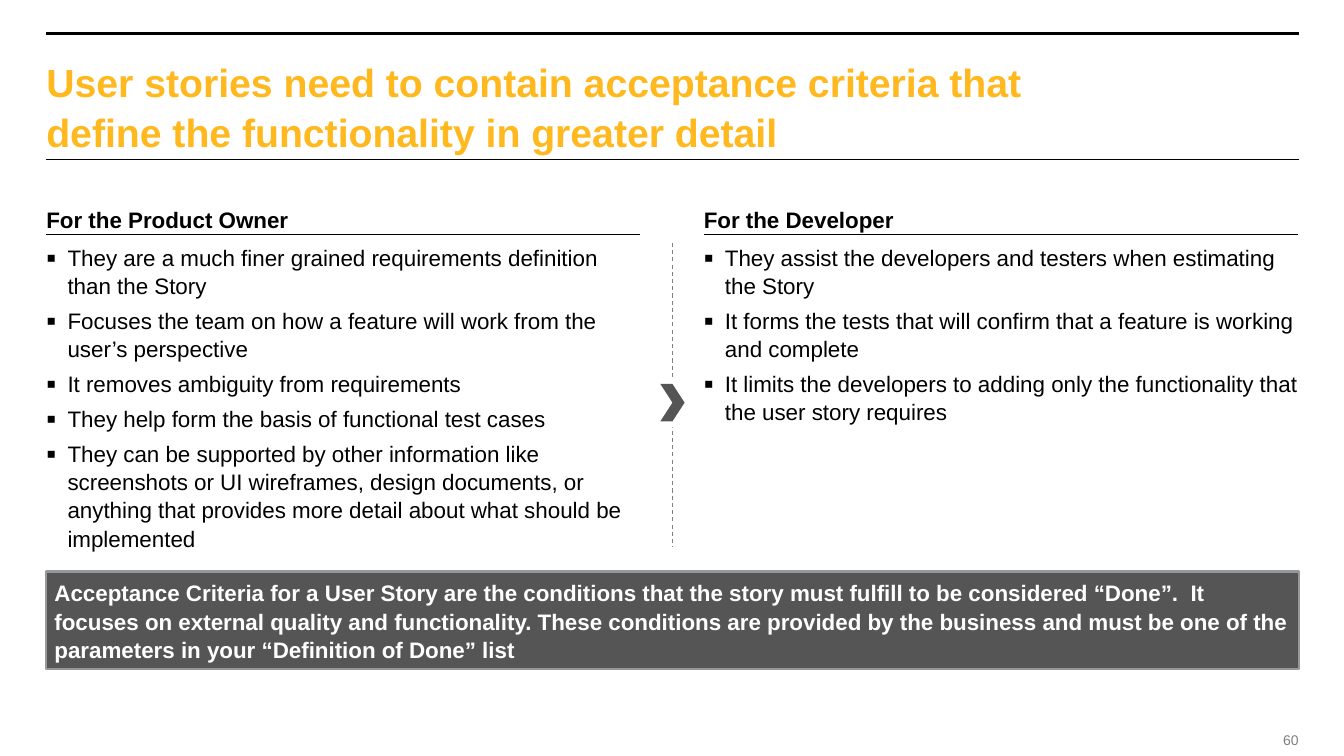
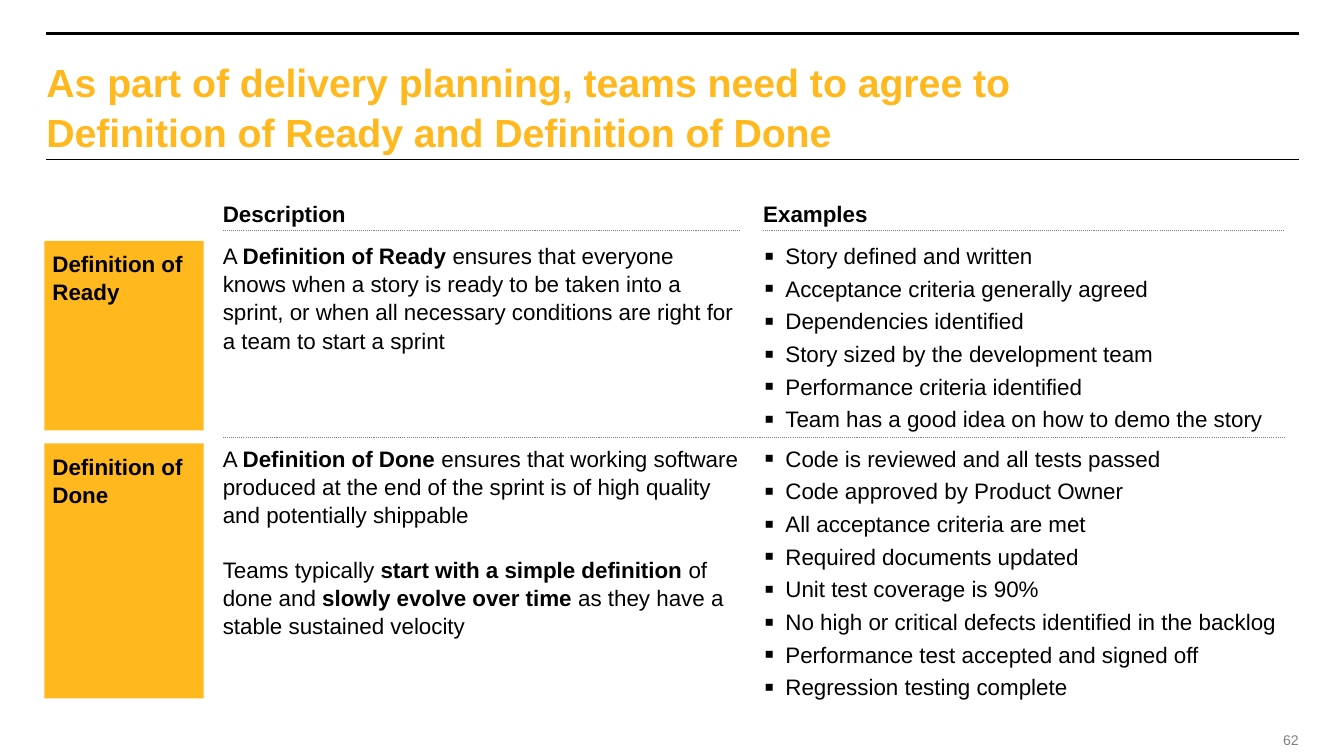
from lxml import etree
from pptx import Presentation
from pptx.dml.color import RGBColor
from pptx.enum.dml import MSO_LINE
from pptx.enum.shapes import MSO_CONNECTOR, MSO_SHAPE
from pptx.enum.text import MSO_ANCHOR, PP_ALIGN
from pptx.oxml.ns import qn
from pptx.util import Inches, Pt

COLORS = {
    "accent": "FFB81E",
    "text": "000000",
    "dark": "555555",
    "dark_border": "95999C",
    "rule": "808080",
    "number": "7F7F7F",
    "white": "FFFFFF",
}
FONT = "Arial"
BODY_SIZE = 16
LINE_SPACING = 1.05
LEFT, RIGHT = 0.46, 12.88
WIDTH = RIGHT - LEFT


def color(name):
    return RGBColor.from_string(COLORS[name])


def add_bullet(paragraph, indent=0.21):
    properties = paragraph._p.get_or_add_pPr()
    properties.set("marL", str(Inches(indent)))
    properties.set("indent", str(-Inches(0.21)))
    bullet_color = etree.SubElement(properties, qn("a:buClr"))
    etree.SubElement(bullet_color, qn("a:srgbClr"), val=COLORS["text"])
    etree.SubElement(properties, qn("a:buSzPct"), val="125000")
    etree.SubElement(properties, qn("a:buFont"), typeface=FONT)
    etree.SubElement(properties, qn("a:buChar"), char="▪")


def fill_text(shape, paragraphs, size=BODY_SIZE, ink="text", bold=False,
              anchor=MSO_ANCHOR.TOP, align=PP_ALIGN.LEFT, inset=0.0,
              gap=0.0, bullet_indent=None):
    """Write paragraphs; parts between ** marks turn bold, gap is in points."""
    frame = shape.text_frame
    frame.word_wrap = True
    frame.vertical_anchor = anchor
    frame.margin_left = frame.margin_right = Inches(inset)
    frame.margin_top = frame.margin_bottom = Inches(inset)
    for index, content in enumerate(paragraphs):
        paragraph = frame.paragraphs[0] if index == 0 else frame.add_paragraph()
        if bullet_indent is not None:
            add_bullet(paragraph, bullet_indent)
        paragraph.alignment = align
        paragraph.line_spacing = LINE_SPACING
        paragraph.space_before = Pt(gap if index else 0)
        for part, words in enumerate(content.split("**")):
            run = paragraph.add_run()
            run.text = words
            run.font.name = FONT
            run.font.size = Pt(size)
            run.font.bold = bold or part % 2 == 1
            run.font.color.rgb = color(ink)


def add_text(slide, left, top, width, height, paragraphs, **style):
    box = slide.shapes.add_textbox(
        Inches(left), Inches(top), Inches(width), Inches(height))
    fill_text(box, paragraphs, **style)


def add_block(slide, preset, left, top, width, height, fill):
    block = slide.shapes.add_shape(
        preset, Inches(left), Inches(top), Inches(width), Inches(height))
    block.shadow.inherit = False
    block.fill.solid()
    block.fill.fore_color.rgb = color(fill)
    block.line.fill.background()
    return block


def add_rule(slide, x1, y1, x2, y2, ink="text", weight=0.75, dash=None):
    rule = slide.shapes.add_connector(
        MSO_CONNECTOR.STRAIGHT, Inches(x1), Inches(y1), Inches(x2), Inches(y2))
    rule.line.color.rgb = color(ink)
    rule.line.width = Pt(weight)
    if dash is not None:
        rule.line.dash_style = dash
    etree.SubElement(rule._element.spPr, qn("a:effectLst"))


def add_titled_slide(deck, title, number):
    slide = deck.slides.add_slide(deck.slide_layouts[5])
    heading = slide.shapes.title
    heading.left, heading.top = Inches(LEFT), Inches(0.56)
    heading.width, heading.height = Inches(10.81), Inches(0.94)
    fill_text(heading, [title], size=28, ink="accent", bold=True)
    add_rule(slide, LEFT, 0.33, RIGHT, 0.33, weight=2.5)
    add_rule(slide, LEFT, 1.58, RIGHT, 1.58, weight=1)
    add_text(slide, RIGHT - 0.4, 7.25, 0.4, 0.17, [str(number)], size=10,
             ink="number", anchor=MSO_ANCHOR.MIDDLE, align=PP_ALIGN.RIGHT)
    return slide


def add_audience_column(slide, left, top, width, heading, points):
    add_text(slide, left, top, width, 0.27, [heading], bold=True,
             anchor=MSO_ANCHOR.BOTTOM)
    add_rule(slide, left, top + 0.29, left + width, top + 0.29)
    add_text(slide, left, top + 0.37, width, 3.02, points,
             gap=0.3 * BODY_SIZE, bullet_indent=0.21)


def add_chevron_divider(slide, center, top, height):
    add_rule(slide, center, top, center, top + height, ink="rule",
             dash=MSO_LINE.DASH)
    middle = top + height / 2 + 0.08
    for preset, width, tall, fill in (
            (MSO_SHAPE.RECTANGLE, 0.29, 0.49, "white"),
            (MSO_SHAPE.CHEVRON, 0.24, 0.37, "dark")):
        add_block(slide, preset, center - width / 2, middle - tall / 2,
                  width, tall, fill)


def add_summary_bar(slide, left, top, width, height, summary):
    bar = add_block(slide, MSO_SHAPE.RECTANGLE, left, top, width, height, "dark")
    bar.line.color.rgb = color("dark_border")
    bar.line.width = Pt(1.5)
    fill_text(bar, [summary], ink="white", bold=True,
              anchor=MSO_ANCHOR.MIDDLE, inset=0.08)


LABEL_LEFT, LABEL_WIDTH = 0.44, 1.58
DESCRIPTION_LEFT, DESCRIPTION_WIDTH = 2.21, 5.12
EXAMPLES_LEFT, EXAMPLES_WIDTH = 7.57, 5.17


def add_column_heading(slide, left, top, width, heading):
    add_text(slide, left, top, width, 0.27, [heading], bold=True)
    add_rule(slide, left, top + 0.32, left + width, top + 0.32, ink="rule",
             dash=MSO_LINE.ROUND_DOT)


def add_definition_row(slide, top, height, label, description, examples):
    tile = add_block(slide, MSO_SHAPE.RECTANGLE, LABEL_LEFT, top,
                     LABEL_WIDTH, height, "accent")
    fill_text(tile, [label], bold=True, inset=0.08)
    add_text(slide, DESCRIPTION_LEFT, top, DESCRIPTION_WIDTH, height,
             description, gap=19.2)
    add_text(slide, EXAMPLES_LEFT, top, EXAMPLES_WIDTH, height, examples,
             gap=0.2 * BODY_SIZE, bullet_indent=0.22)


def build_acceptance_criteria(deck):
    slide = add_titled_slide(
        deck, "User stories need to contain acceptance criteria that define "
        "the functionality in greater detail", 60)
    column_width = 5.89
    add_audience_column(slide, LEFT, 2.04, column_width, "For the Product Owner", [
        "They are a much finer grained requirements definition than the Story",
        "Focuses the team on how a feature will work from the user’s perspective",
        "It removes ambiguity from requirements",
        "They help form the basis of functional test cases",
        "They can be supported by other information like screenshots or UI "
        "wireframes, design documents, or anything that provides more detail "
        "about what should be implemented",
    ])
    add_audience_column(slide, 6.98, 2.04, column_width, "For the Developer", [
        "They assist the developers and testers when estimating the Story",
        "It forms the tests that will confirm that a feature is working and complete",
        "It limits the developers to adding only the functionality that the user "
        "story requires",
    ])
    add_chevron_divider(slide, LEFT + WIDTH / 2, 2.41, 3.01)
    add_summary_bar(
        slide, LEFT, 5.67, WIDTH, 0.97,
        "Acceptance Criteria for a User Story are the conditions that the story "
        "must fulfill to be considered “Done”.  It focuses on external quality and "
        "functionality. These conditions are provided by the business and must be "
        "one of the parameters in your “Definition of Done” list")


def build_definitions(deck):
    slide = add_titled_slide(
        deck, "As part of delivery planning, teams need to agree to Definition "
        "of Ready and Definition of Done", 62)
    add_column_heading(slide, DESCRIPTION_LEFT, 1.97, DESCRIPTION_WIDTH, "Description")
    add_column_heading(slide, EXAMPLES_LEFT, 1.97, EXAMPLES_WIDTH, "Examples")
    add_definition_row(slide, 2.39, 1.88, "Definition of Ready", [
        "A **Definition of Ready **ensures that everyone knows when a story is "
        "ready to be taken into a sprint, or when all necessary conditions are "
        "right for a team to start a sprint",
    ], [
        "Story defined and written",
        "Acceptance criteria generally agreed",
        "Dependencies identified",
        "Story sized by the development team",
        "Performance criteria identified",
        "Team has a good idea on how to demo the story",
    ])
    add_rule(slide, DESCRIPTION_LEFT, 4.34, EXAMPLES_LEFT + EXAMPLES_WIDTH, 4.34,
             ink="rule", dash=MSO_LINE.ROUND_DOT)
    add_definition_row(slide, 4.4, 2.53, "Definition of Done", [
        "A **Definition of Done **ensures that working software produced at the "
        "end of the sprint is of high quality and potentially shippable",
        "Teams typically **start with a simple definition **of done and "
        "**slowly evolve over time **as they have a stable sustained velocity",
    ], [
        "Code is reviewed and all tests passed",
        "Code approved by Product Owner",
        "All acceptance criteria are met",
        "Required documents updated",
        "Unit test coverage is 90%",
        "No high or critical defects identified in the backlog",
        "Performance test accepted and signed off",
        "Regression testing complete",
    ])


def main():
    deck = Presentation()
    deck.slide_width, deck.slide_height = Inches(13.33), Inches(7.5)
    build_acceptance_criteria(deck)
    build_definitions(deck)
    deck.save("out.pptx")


if __name__ == "__main__":
    main()
